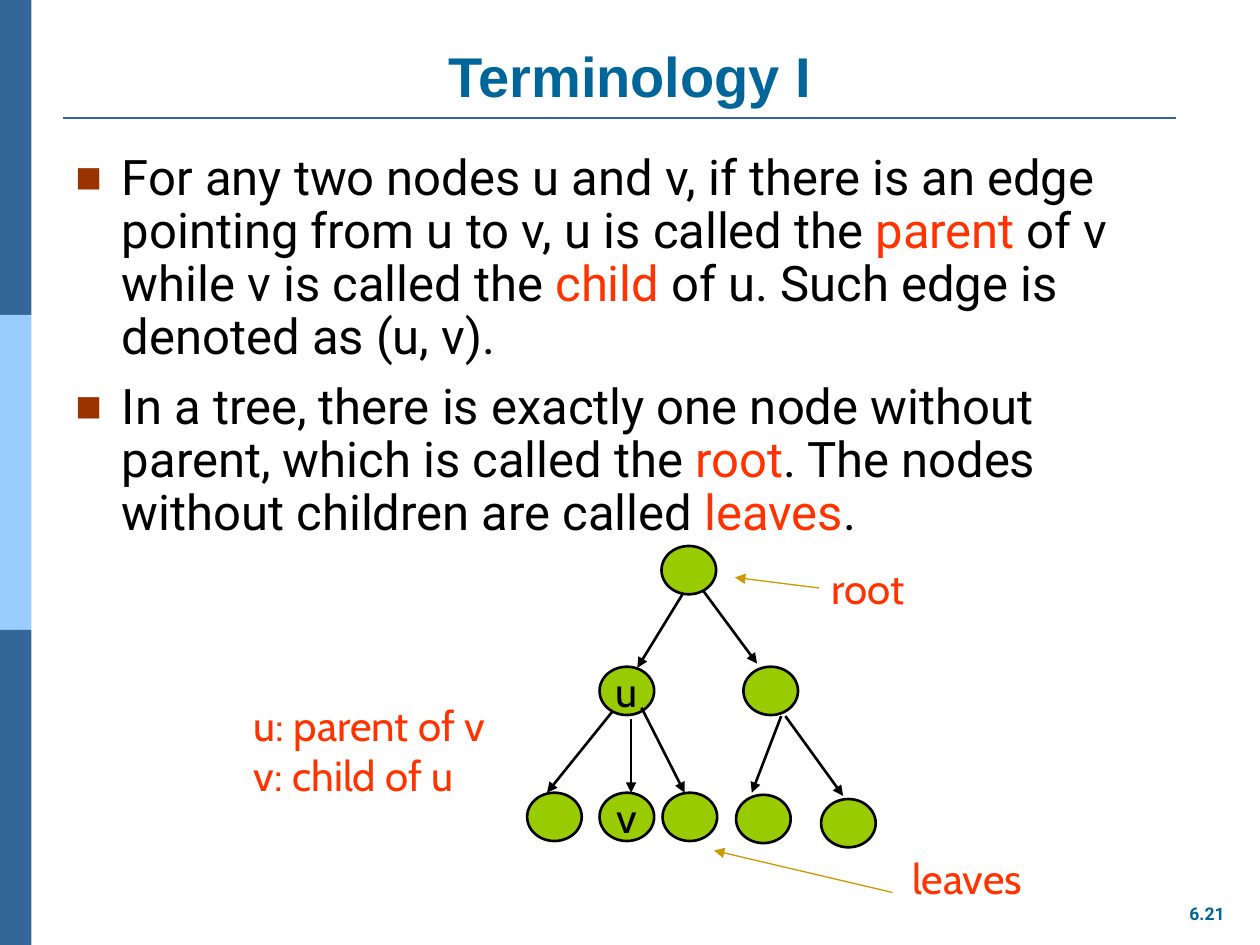
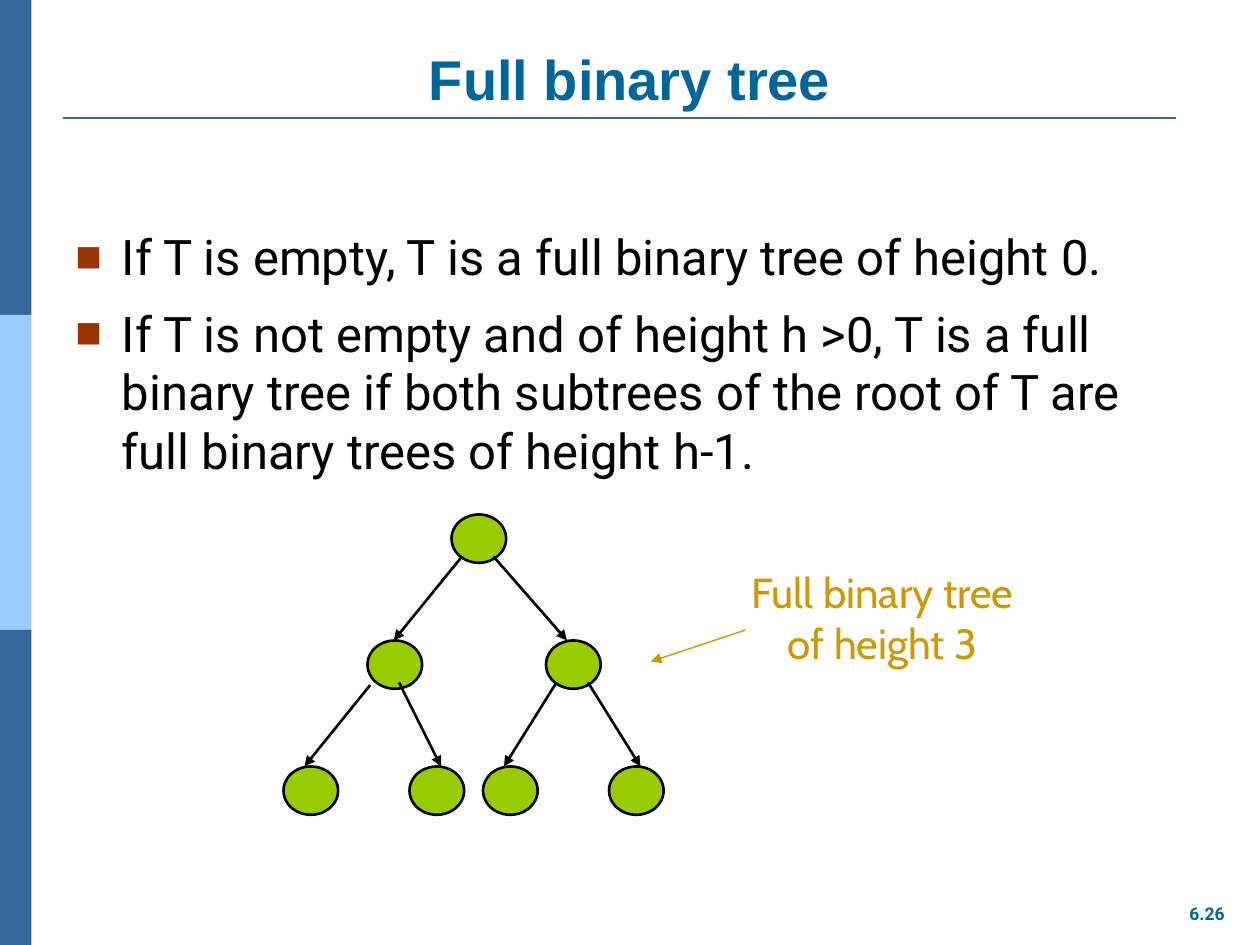
from lxml import etree
from pptx import Presentation
from pptx.dml.color import RGBColor
from pptx.enum.shapes import MSO_CONNECTOR, MSO_SHAPE
from pptx.enum.text import MSO_ANCHOR, MSO_AUTO_SIZE, PP_ALIGN
from pptx.oxml.ns import qn
from pptx.util import Inches, Pt

LEFT, CENTER = PP_ALIGN.LEFT, PP_ALIGN.CENTER
BOTTOM, MIDDLE = MSO_ANCHOR.BOTTOM, MSO_ANCHOR.MIDDLE
FIXED, GROW = MSO_AUTO_SIZE.NONE, MSO_AUTO_SIZE.SHAPE_TO_FIT_TEXT
RECT, OVAL = MSO_SHAPE.RECTANGLE, MSO_SHAPE.OVAL
STRAIGHT = MSO_CONNECTOR.STRAIGHT

DARK_BLUE = RGBColor(0x33, 0x66, 0x99)
LIGHT_BLUE = RGBColor(0x99, 0xCC, 0xFF)
TITLE_BLUE = RGBColor(0x00, 0x66, 0x99)
BULLET_BROWN = RGBColor(0x99, 0x33, 0x00)
RED = RGBColor(0xFF, 0x33, 0x00)
GOLD = RGBColor(0xCC, 0x99, 0x00)
GREEN = RGBColor(0x99, 0xCC, 0x00)
BLACK = RGBColor(0, 0, 0)

TITLE_FONT, BODY_FONT, LABEL_FONT = "Arial", "Roboto", "Cabin"

# The slide is a grid of 120 columns by 90 rows, twelve to the inch
COLS, ROWS = 120, 90
NODE_W, NODE_H = 5.2, 4.6


def grid(*lengths):
    return [Inches(n / 12) for n in lengths]


def style(r, font, size, color, bold=False):
    r.font.name, r.font.size, r.font.bold = font, Pt(size), bold
    r.font.color.rgb = color


def add_filled(s, kind, box, fill):
    sp = s.shapes.add_shape(kind, *grid(*box))
    sp.shadow.inherit = False
    sp.fill.solid()
    sp.fill.fore_color.rgb = fill
    sp.line.fill.background()
    return sp


def add_line(s, ends, color, width, arrow=False):
    line = s.shapes.add_connector(STRAIGHT, *grid(*ends))
    line.line.color.rgb = color
    line.line.width = Pt(width)
    if arrow:
        ln = line.line._get_or_add_ln()
        etree.SubElement(ln, qn("a:tailEnd"), type="triangle")
    etree.SubElement(line._element.spPr, qn("a:effectLst"))


def add_label(s, box, text, font, size, color, align=LEFT, bold=False):
    tf = s.shapes.add_textbox(*grid(*box)).text_frame
    tf.word_wrap, tf.auto_size = False, GROW
    tf.text = text
    for p in tf.paragraphs:
        p.alignment = align
        style(p.runs[0], font, size, color, bold)


def add_frame(s, number):
    """Side bands, title rule and page number."""
    band_h = ROWS / 3
    for i, color in enumerate((DARK_BLUE, LIGHT_BLUE, DARK_BLUE)):
        add_filled(s, RECT, (0, i * band_h, 3, band_h), color)
    add_line(s, (6, 11.25, 112, 11.25), DARK_BLUE, 1.5)
    add_label(s, (112, 85.4, 5.9, 3.2), number, BODY_FONT, 10, TITLE_BLUE,
              CENTER, bold=True)


def add_title(s, box, text):
    title = s.shapes.title
    title.left, title.top, title.width, title.height = grid(*box)
    tf = title.text_frame
    tf.text = text
    tf.auto_size, tf.vertical_anchor = FIXED, BOTTOM
    p = tf.paragraphs[0]
    p.alignment = CENTER
    style(p.runs[0], TITLE_FONT, 32, TITLE_BLUE, bold=True)


def add_bullet(p):
    pPr = p._p.get_or_add_pPr()
    indent = Inches(0.37)
    pPr.set("marL", str(indent))
    pPr.set("indent", str(-indent))
    color = etree.SubElement(pPr, qn("a:buClr"))
    etree.SubElement(color, qn("a:srgbClr"), val=str(BULLET_BROWN))
    etree.SubElement(pPr, qn("a:buSzPct"), val="90000")
    etree.SubElement(pPr, qn("a:buFont"), typeface="Arial")
    etree.SubElement(pPr, qn("a:buChar"), char="■")


def add_body(s, box, items, spacing):
    """Bulleted text; words between asterisks are red."""
    tf = s.shapes.add_textbox(*grid(*box)).text_frame
    tf.word_wrap = True
    for i, item in enumerate(items):
        p = tf.add_paragraph() if i else tf.paragraphs[0]
        add_bullet(p)
        p.line_spacing = spacing
        if i:
            p.space_before = Pt(10)
        for j, part in enumerate(item.split("*")):
            r = p.add_run()
            r.text = part
            style(r, BODY_FONT, 28, RED if j % 2 else BLACK)


def add_tree(s, col, row, nodes, edges):
    """Nodes (column, row, name) and edges, relative to the tree's corner."""
    for x, y, name in nodes:
        node = add_filled(s, OVAL, (col + x, row + y, NODE_W, NODE_H), GREEN)
        node.line.color.rgb = BLACK
        node.line.width = Pt(1.5)
        if name:
            tf = node.text_frame
            tf.text = name
            tf.word_wrap, tf.vertical_anchor = False, MIDDLE
            p = tf.paragraphs[0]
            p.alignment = CENTER
            style(p.runs[0], LABEL_FONT, 24, BLACK)
    for x1, y1, x2, y2 in edges:
        add_line(s, (col + x1, row + y1, col + x2, row + y2), BLACK, 1.5, True)


def new_slide(prs, number, title_box, title):
    s = prs.slides.add_slide(prs.slide_layouts[5])
    add_frame(s, number)
    add_title(s, title_box, title)
    return s


def terminology_slide(prs):
    s = new_slide(prs, "6.21", (6, 2, 108, 9), "Terminology I")
    add_body(s, (6, 14, 108, 38), [
        "For any two nodes u and v, if there is an edge pointing from u to v, "
        "u is called the *parent* of v while v is called the *child* of u. "
        "Such edge is denoted as (u, v).",
        "In a tree, there is exactly one node without parent, which is called "
        "the *root*. The nodes without children are called *leaves*."], 0.9)

    nodes = [(13, 0, ""), (7.1, 11.5, "u"), (20.8, 11.5, ""),
             (0.2, 23.5, ""), (7.1, 23.5, "v"), (13.1, 23.5, ""),
             (20.1, 23.7, ""), (28.2, 24.1, "")]
    edges = [(15, 4.6, 10.7, 11.6), (17, 4.3, 22.1, 11.2),
             (8.3, 15.8, 2.1, 23.5), (10.1, 16.5, 10.1, 23.5),
             (11.1, 15.4, 15.2, 23.5), (24.4, 16.2, 21.6, 23.5),
             (24.8, 16.2, 30.3, 23.8)]
    add_tree(s, 50, 52, nodes, edges)

    # Labels and their pointers
    for box, text in (((78, 53, 9.5, 6), "root"),
                      ((23, 66, 26.6, 10.8), "u: parent of v\nv: child of u"),
                      ((85.7, 80.6, 13.4, 6), "leaves")):
        add_label(s, box, text, LABEL_FONT, 24, RED)
    for ends in ((78, 56, 70, 55), (85, 85, 68, 81)):
        add_line(s, ends, GOLD, 0.75, True)


def full_tree_slide(prs):
    s = new_slide(prs, "6.26", (6, 3.6, 108, 7.6), "Full binary tree")
    add_body(s, (6, 21, 108, 34.7), [
        "If T is empty, T is a full binary tree of height 0.",
        "If T is not empty and of height h >0, T is a full binary tree if "
        "both subtrees of the root of T are full binary trees of height h-1."],
        1.0)

    nodes = [(16, 0, ""), (8, 12, ""), (25, 12, "")]
    nodes += [(x, 24, "") for x in (0, 12, 19, 31)]
    edges = [(17, 4, 10.5, 12), (20, 4, 27, 12),
             (8.25, 16.25, 2, 24), (11, 16, 15, 24),
             (26, 16, 21, 24), (29, 16, 34, 24)]
    add_tree(s, 27, 49, nodes, edges)

    # Caption and its pointer
    add_label(s, (69.6, 53.4, 28.9, 10.8), "Full binary tree\nof height 3",
              LABEL_FONT, 24, GOLD, CENTER)
    add_line(s, (71, 60, 62, 63), GOLD, 0.75, True)


def main():
    prs = Presentation()
    prs.slide_width, prs.slide_height = grid(COLS, ROWS)
    terminology_slide(prs)
    full_tree_slide(prs)
    prs.save("out.pptx")


if __name__ == "__main__":
    main()
